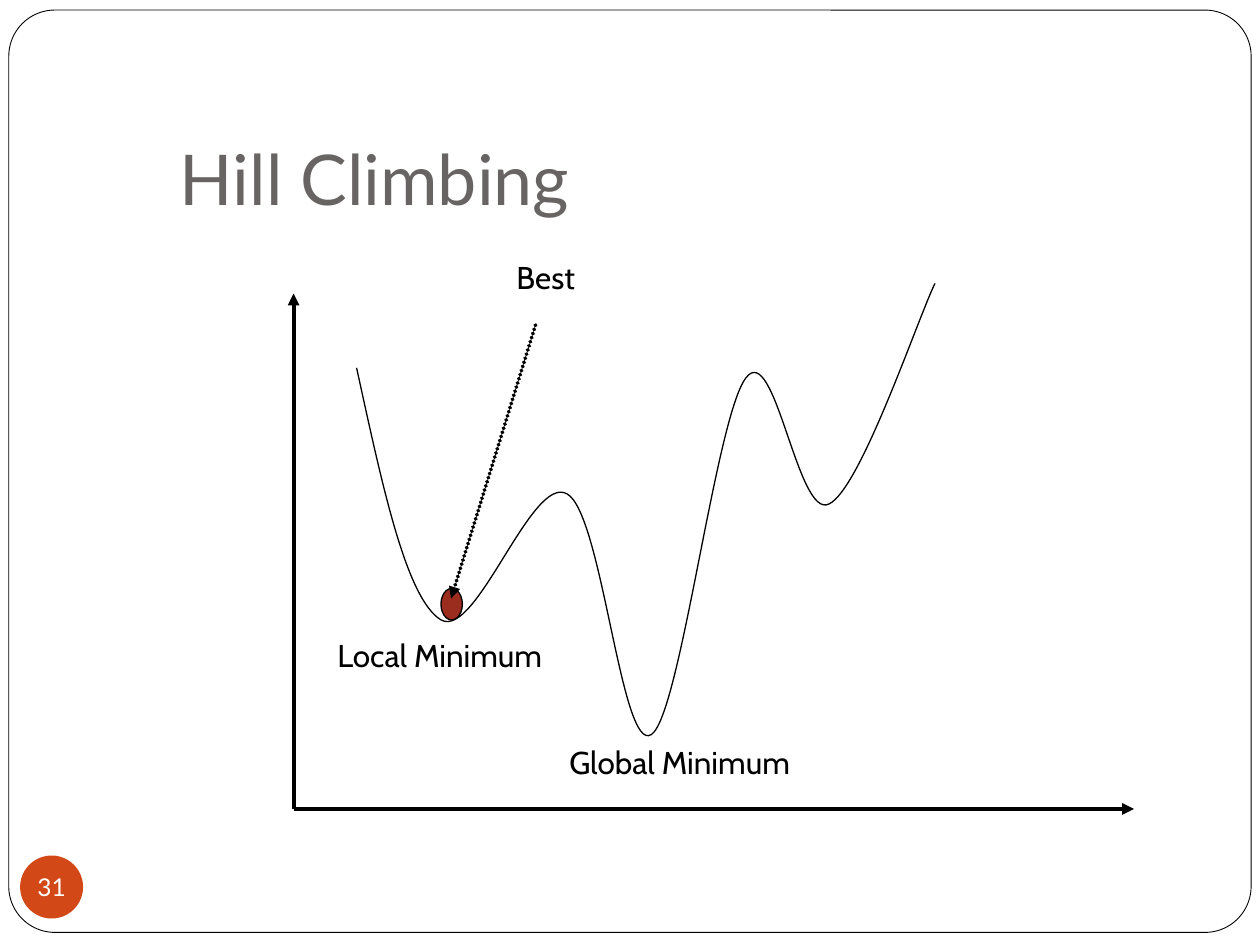
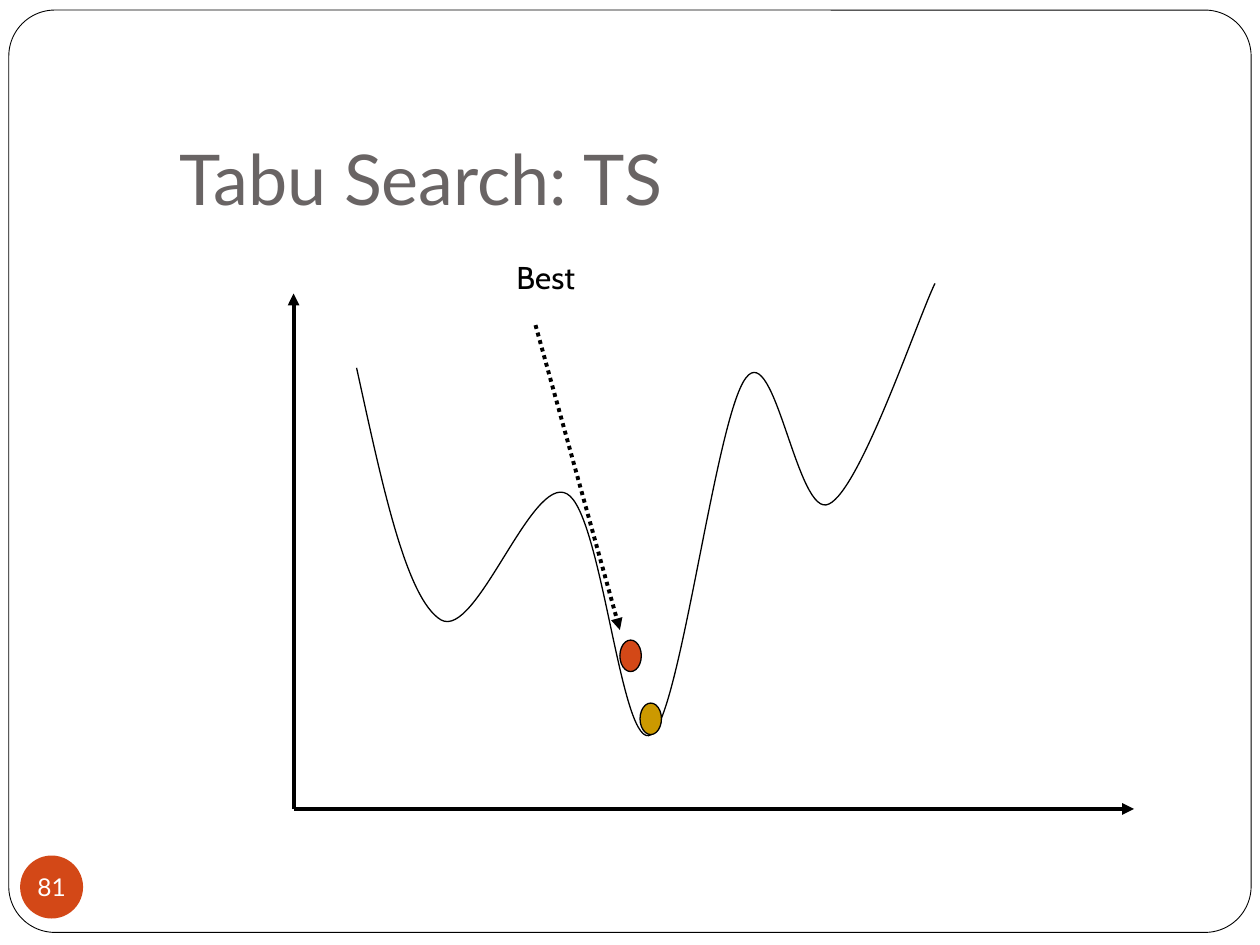
"""Build two slides that show how search methods settle in a valley."""
from lxml.etree import SubElement
from pptx import Presentation
from pptx.dml.color import RGBColor
from pptx.enum.dml import MSO_LINE as Dash
from pptx.enum.shapes import MSO_CONNECTOR as Link, MSO_SHAPE as Form
from pptx.enum.text import MSO_ANCHOR as Anchor, PP_ALIGN as Align
from pptx.oxml.ns import qn
from pptx.util import Inches, Pt

WIDE, HIGH = 10, 7.5
BLACK, WHITE, GREY = "000000", "FFFFFF", "696464"
ORANGE, RED, GOLD = "D34817", "9B2D1F", "CC9900"
HEAD, BODY = "Lato", "Cabin"

ORIGIN, TOP, RIGHT = (2.33, 6.42), (2.33, 2.33), (9, 6.42)
BALL = (0.17, 0.25)
BEST = ("Best", (4, 2, 1.17, 0.4))
START = (4.25, 2.58)
CURVE = [
    (2.83, 2.92),
    (3.03, 3.83), (3.22, 4.75), (3.5, 4.92),
    (3.78, 5.08), (4.22, 3.76), (4.5, 3.92),
    (4.78, 4.07), (4.93, 5.99), (5.17, 5.83),
    (5.4, 5.68), (5.68, 3.31), (5.92, 3),
    (6.15, 2.69), (6.33, 4.13), (6.58, 4),
    (6.83, 3.88), (7.28, 2.54), (7.42, 2.25),
]

SLIDES = [
    dict(title="Hill Climbing", page="31", goal=(3.58, 4.75), fine=True,
         balls=[(3.5, 4.67, RED)],
         labels=[BEST, ("Local Minimum", (2.58, 5, 1.92, 0.4)),
                 ("Global Minimum", (4.42, 5.85, 2.17, 0.4))]),
    dict(title="Tabu Search: TS", page="81", goal=(4.92, 5), fine=False,
         balls=[(4.92, 5.08, ORANGE), (5.08, 5.58, GOLD)],
         labels=[BEST]),
]


def color(code):
    return RGBColor.from_string(code)


def inch(values):
    return [Inches(v) for v in values]


def write(frame, text, size=18, font=BODY, ink=BLACK, align=Align.LEFT,
          anchor=Anchor.TOP, pads=(0.1, 0.05, 0.1, 0.05), wrap=True):
    frame.word_wrap = wrap
    frame.vertical_anchor = anchor
    (frame.margin_left, frame.margin_top,
     frame.margin_right, frame.margin_bottom) = inch(pads)
    para = frame.paragraphs[0]
    para.alignment = align
    run = para.add_run()
    run.text = text
    run.font.size, run.font.name = Pt(size), font
    run.font.color.rgb = color(ink)


def label(slide, text, box, **style):
    write(slide.shapes.add_textbox(*inch(box)).text_frame, text, **style)


def paint(shape, fill=None, line=None, width=0.75):
    shape.shadow.inherit = False
    if fill:
        shape.fill.solid()
        shape.fill.fore_color.rgb = color(fill)
    else:
        shape.fill.background()
    if line:
        shape.line.color.rgb = color(line)
        shape.line.width = Pt(width)
    else:
        shape.line.fill.background()


def add(slide, form, box, **style):
    shape = slide.shapes.add_shape(form, *inch(box))
    paint(shape, **style)
    return shape


def arrow(slide, start, end, dash=None, fine=False):
    link = slide.shapes.add_connector(Link.STRAIGHT, *inch(start + end))
    link.line.color.rgb = color(BLACK)
    link.line.width = Pt(2.25)
    if dash:
        link.line.dash_style = dash
    props = link._element.spPr
    line = props.find(qn("a:ln"))
    if fine:
        line.set("cap", "rnd")
        dots = SubElement(line, qn("a:custDash"))
        SubElement(dots, qn("a:ds"), d="10000", sp="100000")
    SubElement(line, qn("a:tailEnd"), type="triangle")
    SubElement(props, qn("a:effectLst"))


def curve(slide, knots):
    first, *rest = [inch(knot) for knot in knots]
    pen = slide.shapes.build_freeform(*first)
    pen.add_line_segments(rest, close=False)
    shape = pen.convert_to_shape()
    paint(shape, line=BLACK)
    lines = list(shape._element.iter(qn("a:lnTo")))
    route = lines[0].getparent()
    for i in range(0, len(lines), 3):
        bend = SubElement(route, qn("a:cubicBezTo"))
        for line in lines[i:i + 3]:
            bend.append(line[0])
            route.remove(line)


def base(slide, title, page):
    frame = add(slide, Form.ROUNDED_RECTANGLE, (0.07, 0.08, WIDE - 0.14, HIGH - 0.18),
                fill=WHITE, line=BLACK, width=0.5)
    frame.adjustments[0] = 0.05
    label(slide, title, (1.33, 0.94, 8.52, 0.9), size=40, font=HEAD, ink=GREY,
          anchor=Anchor.BOTTOM, pads=(0.1, 0.05, 0.1, 0.1))
    badge = add(slide, Form.OVAL, (0.16, 6.79, 0.5, 0.5), fill=ORANGE)
    write(badge.text_frame, page, size=14, font=HEAD, ink=WHITE, align=Align.CENTER,
          anchor=Anchor.MIDDLE, pads=(0, 0, 0, 0), wrap=False)


def main():
    deck = Presentation()
    deck.slide_width, deck.slide_height = inch((WIDE, HIGH))
    for item in SLIDES:
        slide = deck.slides.add_slide(deck.slide_layouts[6])
        base(slide, item["title"], item["page"])
        for end in (TOP, RIGHT):
            arrow(slide, ORIGIN, end)
        curve(slide, CURVE)
        for x, y, fill in item["balls"]:
            add(slide, Form.OVAL, (x, y, *BALL), fill=fill, line=BLACK)
        dash = None if item["fine"] else Dash.ROUND_DOT
        arrow(slide, START, item["goal"], dash=dash, fine=item["fine"])
        for text, box in item["labels"]:
            label(slide, text, box)
    deck.save("out.pptx")


if __name__ == "__main__":
    main()
